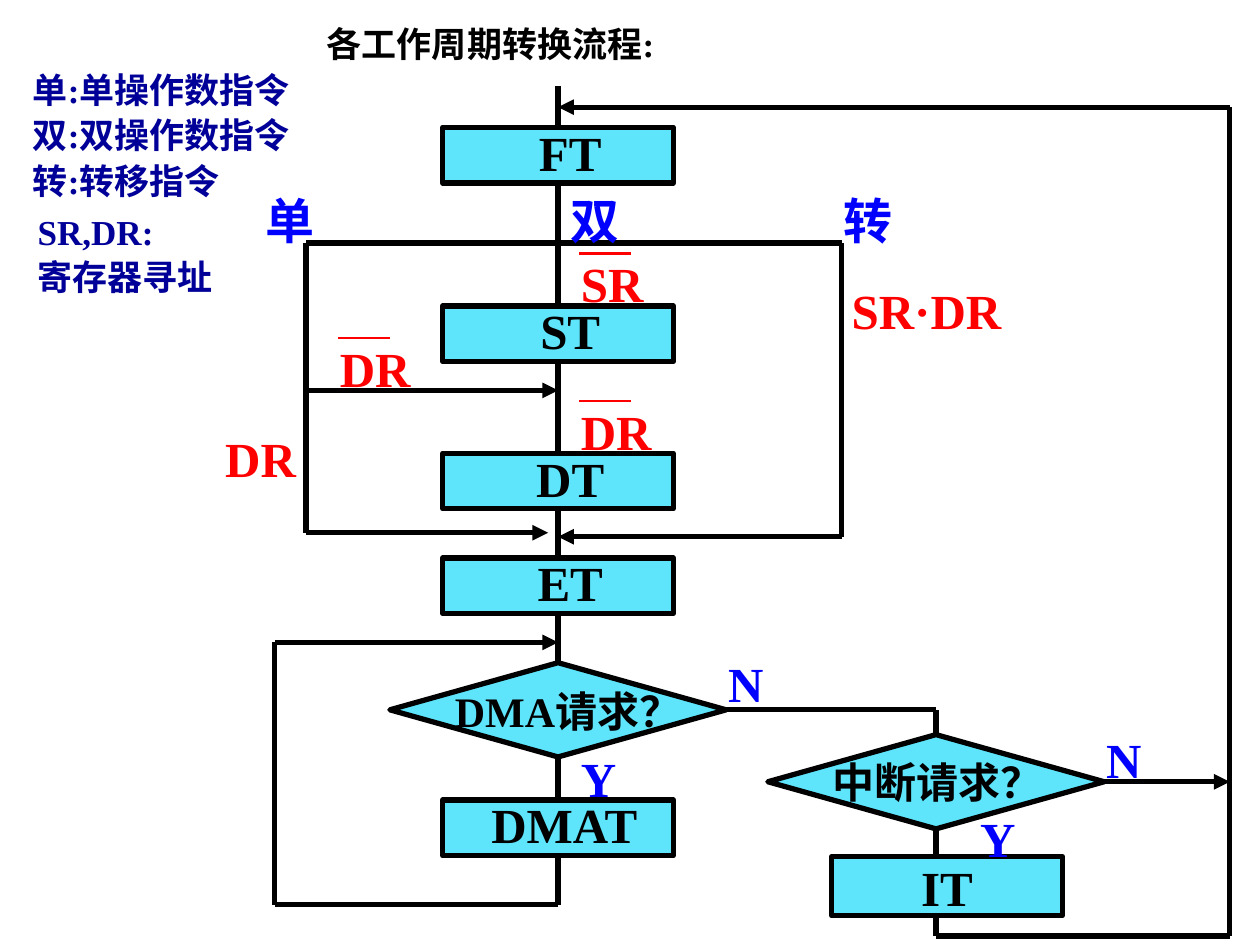
from lxml.etree import SubElement
from pptx import Presentation
from pptx.dml.color import RGBColor
from pptx.enum.shapes import MSO_CONNECTOR, MSO_SHAPE
from pptx.enum.text import MSO_ANCHOR, PP_ALIGN
from pptx.oxml.ns import qn
from pptx.util import Cm, Pt

BLACK, NAVY, BLUE, RED, CYAN = "000000", "000099", "0000FF", "FF0000", "5EE5FC"
TOP, LEFT, BOTTOM, RIGHT = range(4)

# Vertical axes of the flow chart, in cm
LOOP, SINGLE, MAIN, JUMP, INTERRUPT, RETURN = 5.54, 6.17, 11.25, 16.97, 18.87, 24.79
SPLIT = 4.9

# name: (centre x, top, width, height)
STEPS = {
    "FT": (MAIN, 2.57, 4.65, 1.12),
    "ST": (MAIN, 6.17, 4.65, 1.12),
    "DT": (MAIN, 9.14, 4.65, 1.12),
    "ET": (MAIN, 11.25, 4.65, 1.12),
    "DMAT": (MAIN, 16.13, 4.65, 1.12),
    "IT": (19.09, 17.27, 4.65, 1.19),
}
DECISIONS = {
    "DMA请求？": (MAIN, 13.36, 6.78, 1.9),
    "中断请求？": (INTERRUPT, 14.81, 6.78, 1.9),
}
STEP_INDENTS = {"DMAT": 0.25, "IT": 0}

# Each route is (points, ends in an arrow); a point is (x, y) or (shape name, side)
ROUTES = [
    ([(MAIN, 1.73), ("FT", TOP)], False),
    ([("FT", BOTTOM), (MAIN, SPLIT)], False),
    ([(MAIN, SPLIT), ("ST", TOP)], False),
    ([(SINGLE, SPLIT), (JUMP, SPLIT)], False),
    ([("ST", BOTTOM), ("DT", TOP)], False),
    ([("DT", BOTTOM), ("ET", TOP)], False),
    ([("ET", BOTTOM), ("DMA请求？", TOP)], False),
    ([("DMA请求？", BOTTOM), ("DMAT", TOP)], False),
    ([("DMA请求？", RIGHT), (INTERRUPT, 14.31), ("中断请求？", TOP)], False),
    ([("中断请求？", BOTTOM), (INTERRUPT, 17.27)], False),
    ([("中断请求？", RIGHT), (RETURN, 15.76)], True),
    ([(INTERRUPT, 18.46), (INTERRUPT, 18.87), (RETURN, 18.87),
      (RETURN, 2.16), (MAIN, 2.16)], True),
    ([("DMAT", BOTTOM), (MAIN, 18.24), (LOOP, 18.24), (LOOP, 12.95),
      (MAIN, 12.95)], True),
    ([(SINGLE, SPLIT), (SINGLE, 7.87), (MAIN, 7.87)], True),
    ([(SINGLE, 7.87), (SINGLE, 10.74), (11.05, 10.74)], True),
    ([(JUMP, SPLIT), (JUMP, 10.82), (MAIN, 10.82)], True),
]

# text, left, top, width, size, colour
LABELS = [
    ("单", 5.11, 3.63, 2.54, 28, BLUE),
    ("双", 11.25, 3.63, 2.54, 28, BLUE),
    ("转", 16.76, 3.63, 2.54, 28, BLUE),
    ("DR", 4.29, 8.41, 2.54, 28, RED),
    ("SR·DR", 16.92, 5.44, 3.63, 28, RED),
    ("Y", 11.46, 14.86, 1.9, 28, BLUE),
    ("N", 14.43, 12.95, 1.9, 28, BLUE),
    ("Y", 19.51, 16.08, 1.9, 28, BLUE),
    ("N", 22.05, 14.48, 1.9, 28, BLUE),
    ("DMA请求？", 8.92, 13.59, 5.51, 24, BLACK),
    ("中断请求？", 16.54, 15.04, 5.51, 24, BLACK),
]
NEGATED_LABELS = [("SR", 11.46, 4.9), ("DR", 11.46, 7.87), ("DR", 6.6, 6.6)]

TITLE = "各工作周期转换流程:"
LEGEND = ["单:单操作数指令", "双:双操作数指令", "转:转移指令"]
REGISTER_NOTE = ["SR,DR:", "寄存器寻址"]


def colour(value):
    return RGBColor.from_string(value)


def set_values(target, values):
    for name, value in values.items():
        setattr(target, name, value)


def write(para, text, size, ink, indent=0):
    if indent:
        para._p.get_or_add_pPr().set("marL", str(Cm(indent)))
    span = para.add_run()
    span.text = text
    set_values(span.font, {"name": "Times New Roman", "size": Pt(size), "bold": True})
    span.font.color.rgb = colour(ink)


def add_text(page, lines, left, top, width, height, size, top_inset=0.13):
    """Add a text box; each line is (text, colour, indent in cm)."""
    box = page.shapes.add_textbox(Cm(left), Cm(top), Cm(width), Cm(height))
    frame = box.text_frame
    set_values(frame, {"word_wrap": True, "margin_top": Cm(top_inset)})
    for index, (text, ink, indent) in enumerate(lines):
        para = frame.add_paragraph() if index else frame.paragraphs[0]
        if index:
            para.space_before = Pt(2)
        write(para, text, size, ink, indent)


def add_node(page, kind, centre, top, width, height):
    node = page.shapes.add_shape(kind, Cm(centre - width / 2), Cm(top), Cm(width), Cm(height))
    node.shadow.inherit = False
    node.fill.solid()
    node.fill.fore_color.rgb = colour(CYAN)
    node.line.color.rgb = colour(BLACK)
    node.line.width = Pt(3)
    return node


def label_step(node, name):
    last = name == "IT"
    set_values(node.text_frame, {
        "word_wrap": True, "margin_top": Cm(0.22), "margin_bottom": Cm(0.05),
        "vertical_anchor": MSO_ANCHOR.BOTTOM if last else MSO_ANCHOR.TOP})
    para = node.text_frame.paragraphs[0]
    set_values(para, {"alignment": PP_ALIGN.CENTER, "line_spacing": 0.6 if last else 0.7})
    write(para, name, 28, BLACK, STEP_INDENTS.get(name, 0.49))


def position(point, places):
    """Return the x and y of a point that may be a side of a node."""
    name, side = point
    if name not in places:
        return point
    centre, top, width, height = places[name]
    return {TOP: (centre, top), BOTTOM: (centre, top + height),
            LEFT: (centre - width / 2, top + height / 2),
            RIGHT: (centre + width / 2, top + height / 2)}[side]


def add_line(page, start, end, ink=BLACK, weight=3, arrow=False):
    line = page.shapes.add_connector(MSO_CONNECTOR.STRAIGHT, *map(Cm, start + end))
    line.line.color.rgb = colour(ink)
    line.line.width = Pt(weight)
    if arrow:
        SubElement(line.line._get_or_add_ln(), qn("a:tailEnd"), type="triangle")
    SubElement(line._element.spPr, qn("a:effectLst"))
    return line


def add_route(page, points, arrow, nodes, places):
    for index, (start, end) in enumerate(zip(points, points[1:])):
        final = index == len(points) - 2
        line = add_line(page, position(start, places), position(end, places),
                        arrow=arrow and final)
        if start[0] in nodes:
            line.begin_connect(nodes[start[0]], start[1])
        if end[0] in nodes:
            line.end_connect(nodes[end[0]], end[1])


def main():
    deck = Presentation()
    set_values(deck, {"slide_width": Cm(25.4), "slide_height": Cm(19.05)})
    page = deck.slides.add_slide(deck.slide_layouts[6])

    legend = [(TITLE, BLACK, 5.93)] + [(text, NAVY, 0) for text in LEGEND]
    add_text(page, legend, 0.41, 0.33, 13.67, 3.94, 20)
    add_text(page, [(text, NAVY, 0) for text in REGISTER_NOTE], 0.51, 4.11, 7.01, 3, 20)

    nodes = {}
    for name, place in STEPS.items():
        nodes[name] = add_node(page, MSO_SHAPE.RECTANGLE, *place)
        label_step(nodes[name], name)
    for name, place in DECISIONS.items():
        nodes[name] = add_node(page, MSO_SHAPE.FLOWCHART_DECISION, *place)

    places = {**STEPS, **DECISIONS}
    for points, arrow in ROUTES:
        add_route(page, points, arrow, nodes, places)

    for text, left, top, width, size, ink in LABELS:
        add_text(page, [(text, ink, 0)], left, top, width, 1.45, size, 0.22)
    for text, left, top in NEGATED_LABELS:
        add_text(page, [(text, RED, 0)], left, top, 2.54, 1.45, 28, 0.22)
        add_line(page, (left + 0.22, top + 0.21), (left + 1.27, top + 0.21), RED, 1.5)

    deck.save("out.pptx")


if __name__ == "__main__":
    main()
